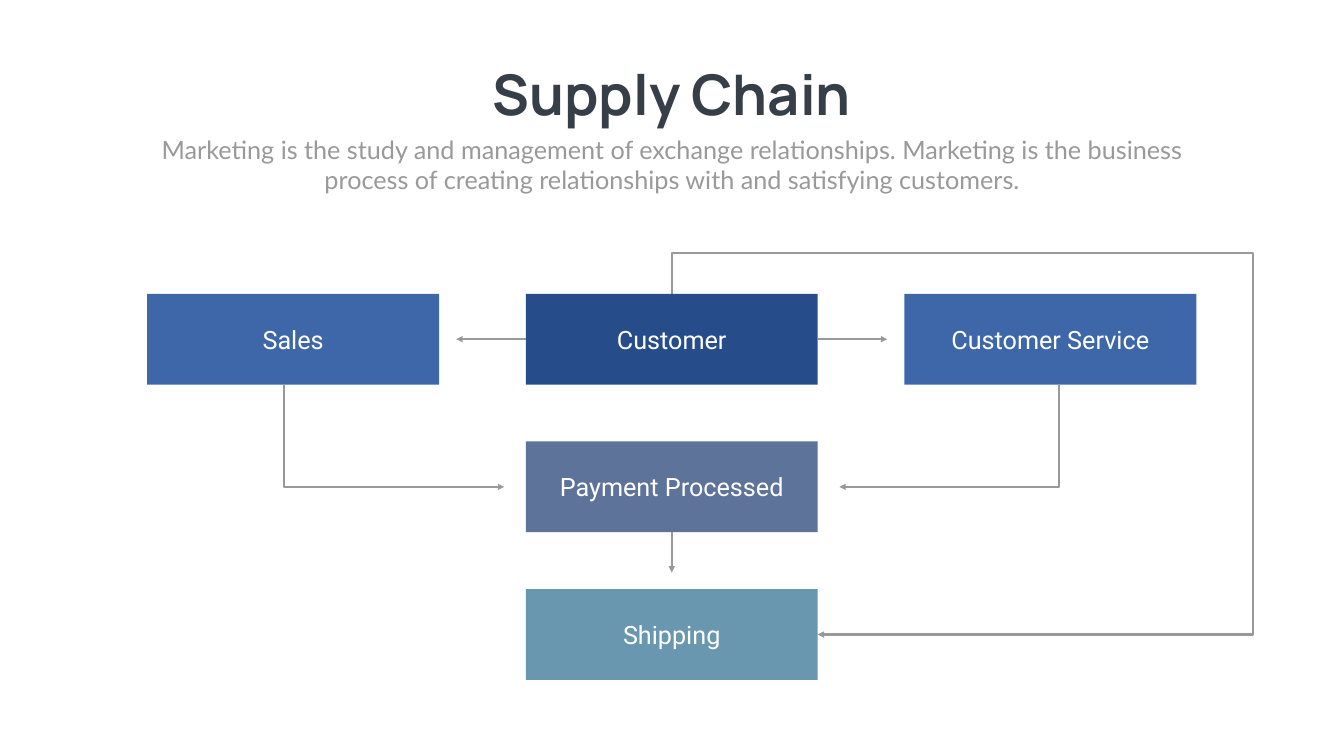
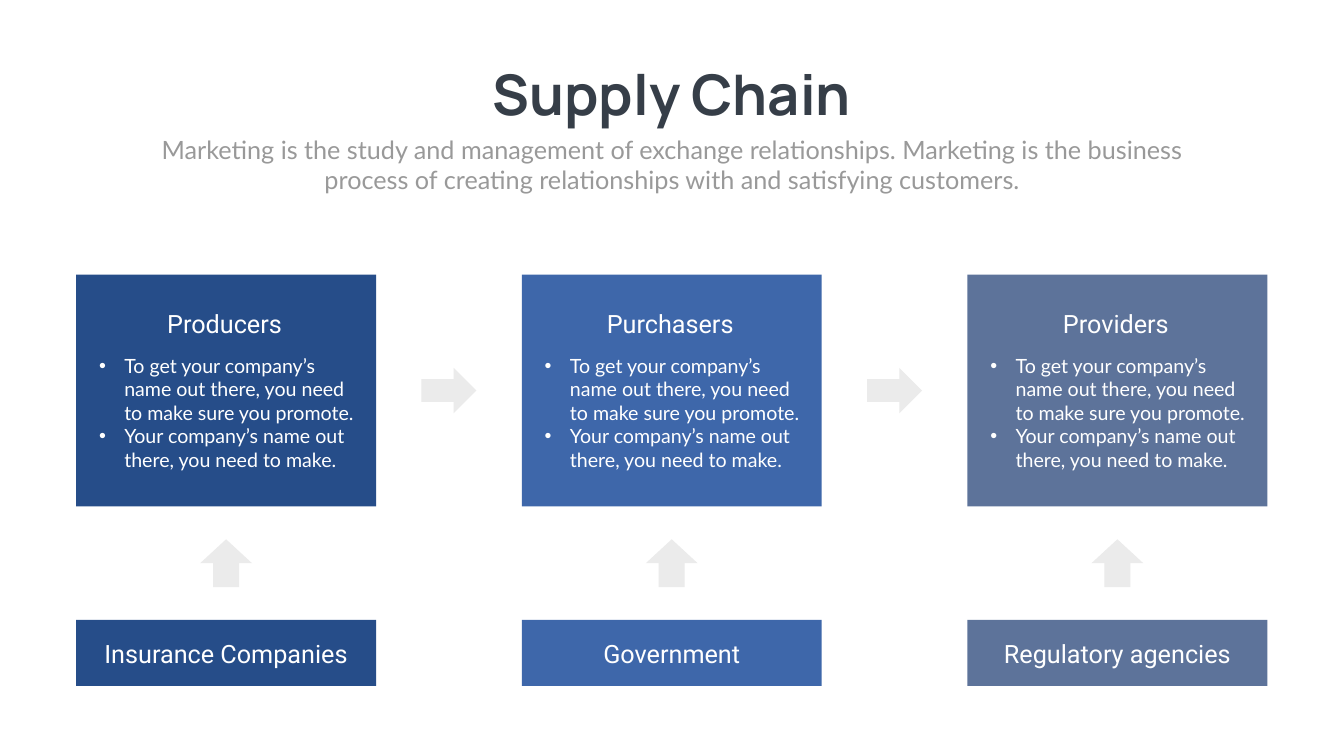
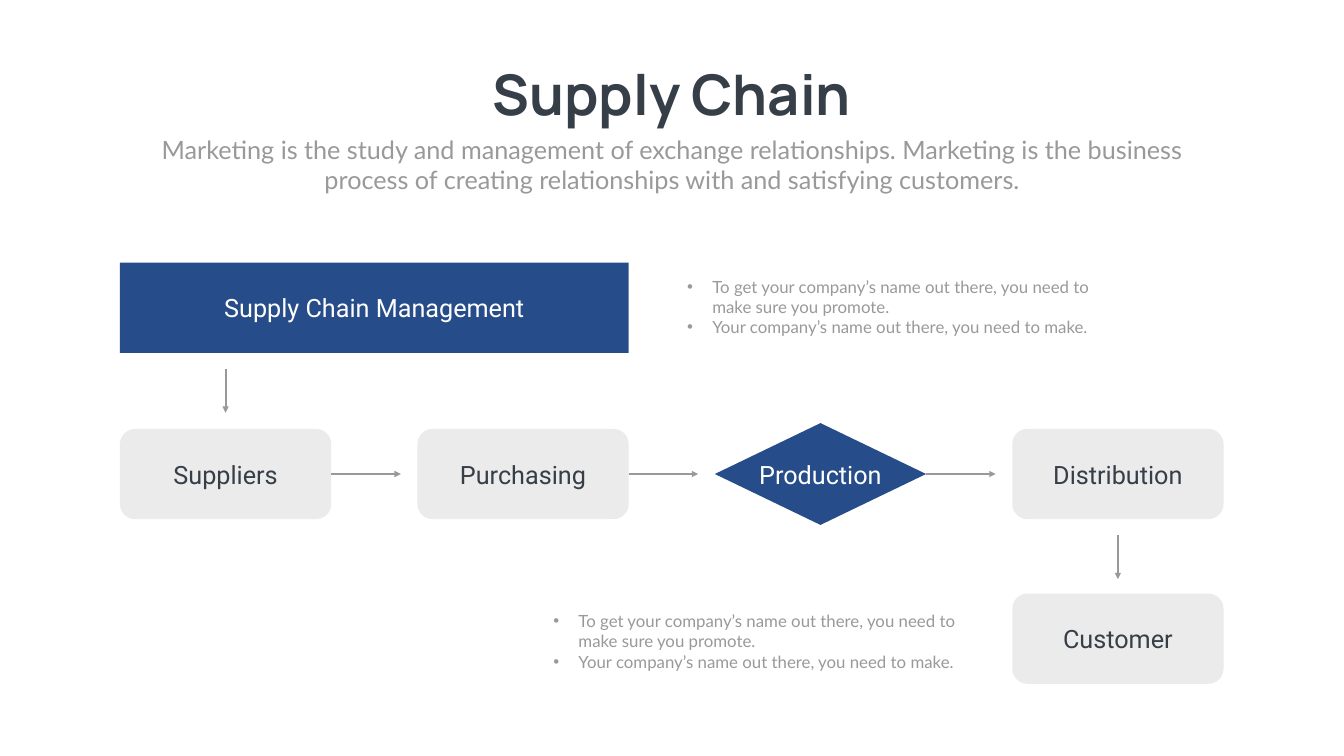
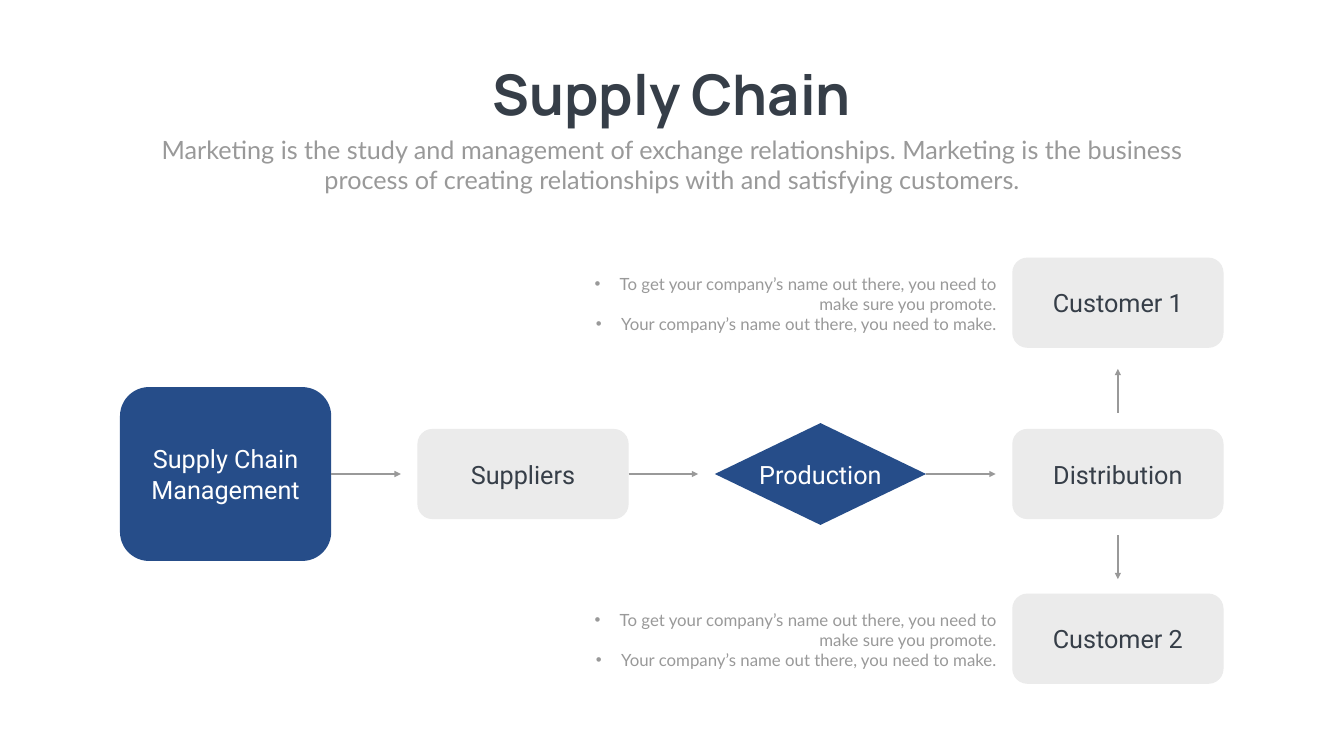
from dataclasses import dataclass
from typing import NamedTuple

from lxml import etree
from pptx import Presentation
from pptx.dml.color import RGBColor
from pptx.enum.shapes import MSO_CONNECTOR, MSO_SHAPE
from pptx.enum.text import MSO_ANCHOR, MSO_AUTO_SIZE, PP_ALIGN
from pptx.oxml.ns import qn
from pptx.util import Inches, Pt

RECT = MSO_SHAPE.RECTANGLE
ROUNDED = MSO_SHAPE.ROUNDED_RECTANGLE
DIAMOND = MSO_SHAPE.DIAMOND
BLOCK_ARROW = MSO_SHAPE.RIGHT_ARROW
STRAIGHT, ELBOW = MSO_CONNECTOR.STRAIGHT, MSO_CONNECTOR.ELBOW
LEFT, CENTER, RIGHT = PP_ALIGN.LEFT, PP_ALIGN.CENTER, PP_ALIGN.RIGHT
TOP, MIDDLE = MSO_ANCHOR.TOP, MSO_ANCHOR.MIDDLE
NO_FIT = MSO_AUTO_SIZE.NONE
LEFT_SIDE, BOTTOM_SIDE, RIGHT_SIDE = 1, 2, 3

NAVY, BLUE, SLATE, TEAL = "264D89", "3E67AA", "5D739A", "6997AF"
INK, GRAY, PALE, WHITE = "363E48", "999999", "EBEBEB", "FFFFFF"

HEADING = "Supply Chain"
TAGLINE = ("Marketing is the study and management of exchange relationships. "
           "Marketing is the business process of creating relationships with "
           "and satisfying customers.")
ADVICE = ["To get your company’s name out there, you need to make sure you promote.",
          "Your company’s name out there, you need to make."]

ARROW_LENGTH = 1.38
DROP_LENGTH = 0.87
DROP_GAP = 0.32


class Box(NamedTuple):
    left: float
    top: float
    width: float
    height: float

    @property
    def right(self) -> float:
        return self.left + self.width

    @property
    def bottom(self) -> float:
        return self.top + self.height

    @property
    def mid_x(self) -> float:
        return self.left + self.width / 2

    @property
    def mid_y(self) -> float:
        return self.top + self.height / 2

    def share(self, x: float, y: float, width: float, height: float) -> "Box":
        return Box(self.left + x * self.width, self.top + y * self.height,
                   width * self.width, height * self.height)

    def with_height(self, height: float) -> "Box":
        return Box(self.left, self.mid_y - height / 2, self.width, height)


class Style(NamedTuple):
    font: str
    size: int
    color: str
    bold: bool = False


@dataclass(frozen=True)
class Grid:
    left: float
    top: float
    column: float
    row: float
    width: float
    height: float

    def cell(self, column: float, row: float, span: int = 1) -> Box:
        return Box(self.left + column * self.column, self.top + row * self.row,
                   self.width + (span - 1) * self.column, self.height)


@dataclass(frozen=True)
class Node:
    text: str
    box: Box
    fill: str
    kind: int = RECT
    ink: str = WHITE


@dataclass(frozen=True)
class Stage:
    title: str
    partner: str
    fill: str


PAGE = Box(0, 0, 26.66, 15)
FLOW = Grid(2.92, 5.83, 7.51, 2.93, 5.79, 1.8)
STAGES = Grid(1.51, 5.45, 8.84, 6.85, 5.95, 4.6)
CHAIN = Grid(2.38, 5.21, 5.9, 3.3, 4.19, 1.79)
NOTE_WIDTH, NOTE_HEIGHT = 8.69, 1.31

TITLE_STYLE = Style("Manrope", 80, INK, True)
TAGLINE_STYLE = Style("Lato", 36, GRAY)
LABEL_STYLE = Style("Roboto", 36, WHITE)
PANEL_STYLE = Style("Lato", 28, WHITE)
NOTE_STYLE = Style("Lato", 24, GRAY)


def color(value: str) -> RGBColor:
    return RGBColor.from_string(value)


def inches(*lengths: float) -> list:
    return [Inches(length) for length in lengths]


def add_bullet(paragraph) -> None:
    properties = paragraph._p.get_or_add_pPr()
    properties.set("marL", str(Inches(0.5)))
    properties.set("indent", str(Inches(-0.5)))
    etree.SubElement(properties, qn("a:buFont")).set("typeface", "Arial")
    etree.SubElement(properties, qn("a:buChar")).set("char", "•")


def write(frame, texts: list, style: Style, align=CENTER, anchor=TOP,
          wrap: bool = True, bullets: bool = False) -> None:
    frame.auto_size = NO_FIT
    frame.word_wrap = wrap
    frame.vertical_anchor = anchor
    for index, text in enumerate(texts):
        paragraph = frame.add_paragraph() if index else frame.paragraphs[0]
        paragraph.alignment = align
        if bullets:
            add_bullet(paragraph)
        run = paragraph.add_run()
        run.text = text
        run.font.name = style.font
        run.font.size = Pt(style.size)
        run.font.bold = style.bold
        run.font.color.rgb = color(style.color)


def add_text(slide, box: Box, texts: list, style: Style, align=CENTER,
             bullets: bool = False) -> None:
    frame = slide.shapes.add_textbox(*inches(*box)).text_frame
    write(frame, texts, style, align, bullets=bullets)


def add_note(slide, column: float, row: float, align=LEFT) -> None:
    corner = CHAIN.cell(column, row)
    box = Box(corner.left, corner.top, NOTE_WIDTH, NOTE_HEIGHT)
    add_text(slide, box, ADVICE, NOTE_STYLE, align, bullets=True)


def add_block(slide, kind: int, box: Box, fill: str):
    shape = slide.shapes.add_shape(kind, *inches(*box))
    shape.shadow.inherit = False
    shape.fill.solid()
    shape.fill.fore_color.rgb = color(fill)
    shape.line.fill.background()
    return shape


def add_node(slide, node: Node):
    shape = add_block(slide, node.kind, node.box, node.fill)
    write(shape.text_frame, [node.text], LABEL_STYLE._replace(color=node.ink),
          anchor=MIDDLE, wrap=node.kind != DIAMOND)
    return shape


def add_arrow(slide, start: tuple, end: tuple, kind: int = STRAIGHT):
    arrow = slide.shapes.add_connector(kind, *inches(*start, *end))
    arrow.line.color.rgb = color(GRAY)
    arrow.line.width = Pt(3)
    line = arrow.line._get_or_add_ln()
    etree.SubElement(line, qn("a:tailEnd")).set("type", "triangle")
    etree.SubElement(arrow._element.spPr, qn("a:effectLst"))
    return arrow


def add_side_arrow(slide, node: Node, shape, side: int, dx: float, dy: float) -> None:
    box = node.box
    x, y = {LEFT_SIDE: (box.left, box.mid_y), RIGHT_SIDE: (box.right, box.mid_y),
            BOTTOM_SIDE: (box.mid_x, box.bottom)}[side]
    add_arrow(slide, (x, y), (x + dx, y + dy)).begin_connect(shape, side)


def add_drop(slide, box: Box, upward: bool = False) -> None:
    sign = -1 if upward else 1
    y = (box.top if upward else box.bottom) + sign * DROP_GAP
    add_arrow(slide, (box.mid_x, y), (box.mid_x, y + sign * DROP_LENGTH))


def bend(arrow, preset: str, *shares: float) -> None:
    geometry = arrow._element.spPr.find(qn("a:prstGeom"))
    geometry.set("prst", preset)
    guides = geometry.find(qn("a:avLst"))
    if guides is None:
        guides = etree.SubElement(geometry, qn("a:avLst"))
    for index, share in enumerate(shares, 1):
        guide = etree.SubElement(guides, qn("a:gd"))
        guide.set("name", f"adj{index}")
        guide.set("fmla", f"val {round(share * 100000)}")


def add_return_route(slide, start: tuple, end: tuple) -> None:
    half_x, half_y = (end[0] - start[0]) / 2, (end[1] - start[1]) / 2
    x, y = start[0] + half_x, start[1] + half_y
    route = add_arrow(slide, (x + half_y, y - half_x), (x - half_y, y + half_x), ELBOW)
    route._element.spPr.find(qn("a:xfrm")).set("rot", str(270 * 60000))
    bend(route, "bentConnector5", -0.12, 3.98, 1)


def start_slide(deck):
    slide = deck.slides.add_slide(deck.slide_layouts[5])
    title = slide.shapes.title
    title.left, title.top, title.width, title.height = inches(
        *PAGE.share(0.35, 0.075, 0.3, 0.1))
    write(title.text_frame, [HEADING], TITLE_STYLE, wrap=False)
    add_text(slide, PAGE.share(0.11, 0.174, 0.78, 0.09), [TAGLINE], TAGLINE_STYLE)
    return slide


def build_flow(deck) -> None:
    slide = start_slide(deck)
    sales = Node("Sales", FLOW.cell(0, 0), BLUE)
    customer = Node("Customer", FLOW.cell(1, 0), NAVY)
    service = Node("Customer Service", FLOW.cell(2, 0), BLUE)
    payment = Node("Payment Processed", FLOW.cell(1, 1), SLATE)
    shipping = Node("Shipping", FLOW.cell(1, 2), TEAL)
    add_return_route(slide, (customer.box.mid_x, customer.box.top),
                     (shipping.box.right, shipping.box.mid_y))
    shapes = {node: add_node(slide, node)
              for node in (sales, customer, service, payment, shipping)}
    add_side_arrow(slide, customer, shapes[customer], RIGHT_SIDE, ARROW_LENGTH, 0)
    add_side_arrow(slide, customer, shapes[customer], LEFT_SIDE, -ARROW_LENGTH, 0)
    add_side_arrow(slide, payment, shapes[payment], BOTTOM_SIDE, 0, 0.8)
    for sign, edge in ((-1, payment.box.left), (1, payment.box.right)):
        start_x = payment.box.mid_x + sign * 7.69
        elbow = add_arrow(slide, (start_x, sales.box.bottom),
                          (edge + sign * 0.43, payment.box.mid_y), ELBOW)
        bend(elbow, "bentConnector3", 0)


def build_stages(deck) -> None:
    slide = start_slide(deck)
    stages = [Stage("Producers", "Insurance Companies", NAVY),
              Stage("Purchasers", "Government", BLUE),
              Stage("Providers", "Regulatory agencies", SLATE)]
    for column, stage in enumerate(stages):
        panel = STAGES.cell(column, 0)
        partner = STAGES.cell(column, 1)._replace(height=1.31)
        add_block(slide, RECT, panel, stage.fill)
        add_text(slide, panel.share(0.21, 0.135, 0.57, 0.155), [stage.title], LABEL_STYLE)
        add_text(slide, panel.share(0.06, 0.33, 0.89, 0.535), ADVICE, PANEL_STYLE,
                 LEFT, bullets=True)
        add_node(slide, Node(stage.partner, partner, stage.fill))
        middle = (panel.bottom + partner.top) / 2
        upward = Box(panel.mid_x - 0.475, middle - 0.515, 0.95, 1.03)
        add_block(slide, BLOCK_ARROW, upward, PALE).rotation = 270
        if column < len(stages) - 1:
            gap_middle = (panel.right + STAGES.cell(column + 1, 0).left) / 2
            onward = Box(gap_middle - 0.545, panel.mid_y - 0.45, 1.09, 0.9)
            add_block(slide, BLOCK_ARROW, onward, PALE)


def pale_node(text: str, column: float, row: float) -> Node:
    return Node(text, CHAIN.cell(column, row), PALE, ROUNDED, INK)


def add_chain(slide, nodes: list) -> None:
    for index, node in enumerate(nodes):
        shape = add_node(slide, node)
        if index < len(nodes) - 1:
            add_side_arrow(slide, node, shape, RIGHT_SIDE, ARROW_LENGTH, 0)


PRODUCTION = Node("Production", CHAIN.cell(2, 1).with_height(2.02), NAVY, DIAMOND)
DISTRIBUTION = pale_node("Distribution", 3, 1)


def build_management(deck) -> None:
    slide = start_slide(deck)
    management = Node("Supply Chain Management", CHAIN.cell(0, 0, span=2), NAVY)
    add_node(slide, management)
    add_chain(slide, [pale_node("Suppliers", 0, 1), pale_node("Purchasing", 1, 1),
                      PRODUCTION, DISTRIBUTION])
    add_node(slide, pale_node("Customer", 3, 1.99))
    add_drop(slide, CHAIN.cell(0, 0))
    add_drop(slide, DISTRIBUTION.box)
    add_note(slide, 1.44, 2.08)
    add_note(slide, 1.89, 0.07)


def build_customers(deck) -> None:
    slide = start_slide(deck)
    management = Node("Supply Chain Management", CHAIN.cell(0, 1).with_height(3.45),
                      NAVY, ROUNDED)
    add_chain(slide, [management, pale_node("Suppliers", 1, 1), PRODUCTION, DISTRIBUTION])
    add_node(slide, pale_node("Customer 1", 3, -0.03))
    add_node(slide, pale_node("Customer 2", 3, 1.99))
    add_drop(slide, DISTRIBUTION.box, upward=True)
    add_drop(slide, DISTRIBUTION.box)
    for row in (0.05, 2.07):
        add_note(slide, 1.49, row, RIGHT)


def main() -> None:
    deck = Presentation()
    deck.slide_width, deck.slide_height = inches(PAGE.width, PAGE.height)
    for build in (build_flow, build_stages, build_management, build_customers):
        build(deck)
    deck.save("out.pptx")


if __name__ == "__main__":
    main()
